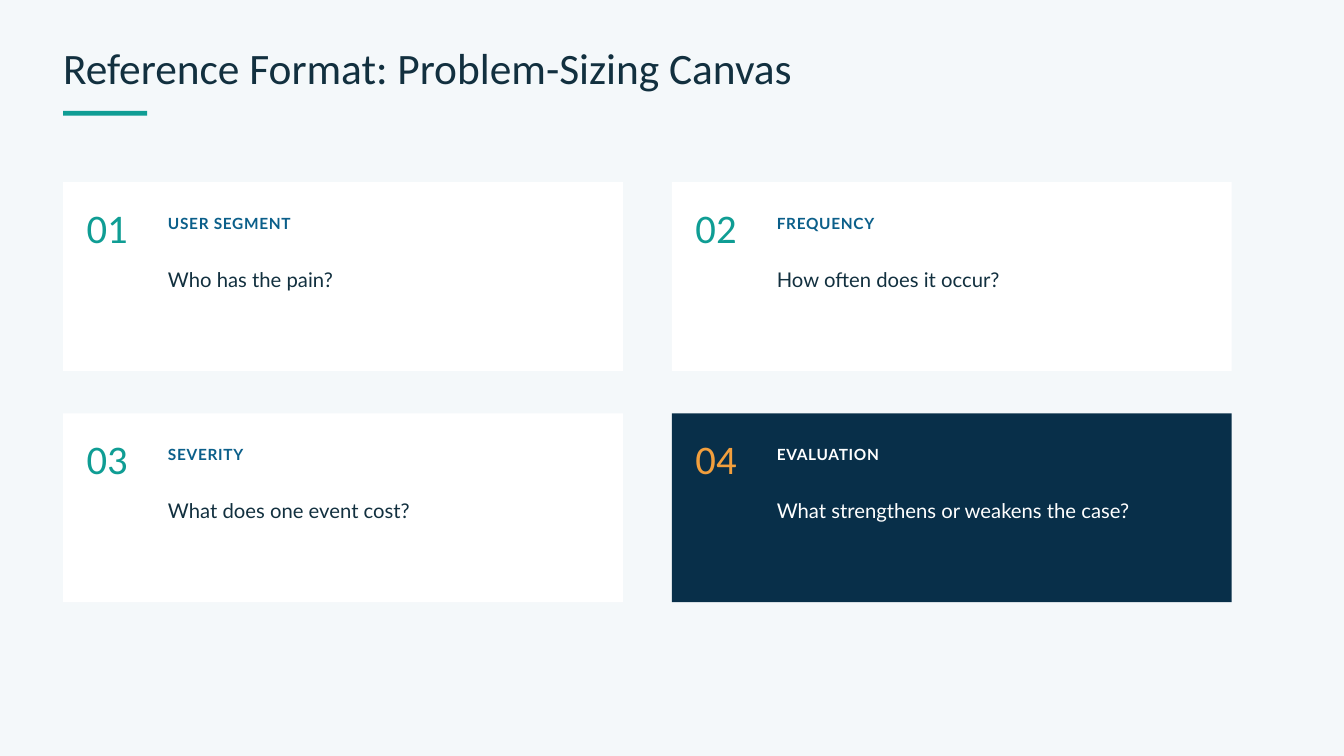
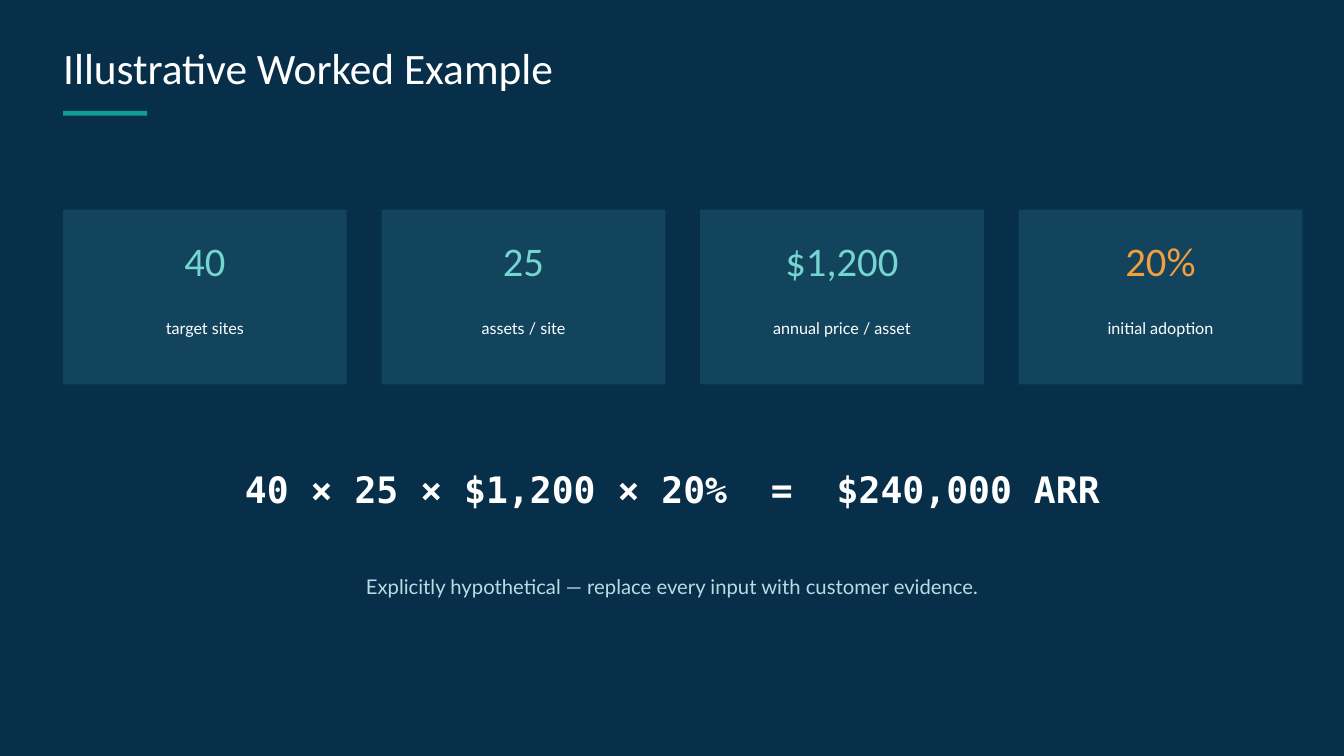
from pptx import Presentation
from pptx.dml.color import RGBColor
from pptx.enum.shapes import MSO_SHAPE
from pptx.enum.text import MSO_ANCHOR, MSO_AUTO_SIZE, PP_ALIGN
from pptx.util import Inches, Pt

PALE = RGBColor(0xF4, 0xF8, 0xFA)
NAVY = RGBColor(0x08, 0x2F, 0x49)
INK = RGBColor(0x12, 0x30, 0x3F)
WHITE = RGBColor(0xFF, 0xFF, 0xFF)
TEAL = RGBColor(0x0F, 0x9D, 0x94)
BLUE = RGBColor(0x0B, 0x5F, 0x8A)
ORANGE = RGBColor(0xF2, 0x9F, 0x3D)
SLATE = RGBColor(0x12, 0x44, 0x5D)
AQUA = RGBColor(0x75, 0xD5, 0xCF)
MIST = RGBColor(0xB8, 0xDC, 0xE4)

HEADING_FONT = "Calibri"
BODY_FONT = "Lato"
CODE_FONT = "DejaVu Sans Mono"
MARGIN = 0.94

TITLE = dict(font=HEADING_FONT, size=46.5, spacing=48.8)
FIGURE = dict(font=HEADING_FONT, size=43.5, spacing=60.9)
LABEL = dict(size=16.5, spacing=23.1, bold=True, tracking=0.8)
SENTENCE = dict(size=21.75, spacing=28.3)
CAPTION = dict(size=17.25, spacing=21.6, align=PP_ALIGN.CENTER)
EQUATION = dict(font=CODE_FONT, size=39, spacing=54.6, bold=True,
                align=PP_ALIGN.CENTER)
WIDE_GAP = 23.5

CANVAS = [
    ("USER SEGMENT", "Who has the pain?"),
    ("FREQUENCY", "How often does it occur?"),
    ("SEVERITY", "What does one event cost?"),
    ("EVALUATION", "What strengthens or weakens the case?"),
]
INPUTS = [
    ("40", "target sites"),
    ("25", "assets / site"),
    ("$1,200", "annual price / asset"),
    ("20%", "initial adoption"),
]


def place(shape, left, top, width, height):
    shape.left, shape.top = Inches(left), Inches(top)
    shape.width, shape.height = Inches(width), Inches(height)


def write(shape, text, *, size, spacing, color, font=BODY_FONT, bold=False,
          align=PP_ALIGN.LEFT, tracking=0):
    """Fill a shape with one paragraph; text is a string or (string, tracking) pairs."""
    frame = shape.text_frame
    frame.word_wrap = True
    frame.auto_size = MSO_AUTO_SIZE.SHAPE_TO_FIT_TEXT
    frame.vertical_anchor = MSO_ANCHOR.TOP
    frame.margin_left = frame.margin_right = 0
    frame.margin_top = frame.margin_bottom = 0
    paragraph = frame.paragraphs[0]
    paragraph.alignment = align
    paragraph.line_spacing = Pt(spacing)
    pieces = [(text, tracking)] if isinstance(text, str) else text
    for words, gap in pieces:
        run = paragraph.add_run()
        run.text = words
        run.font.name = font
        run.font.size = Pt(size)
        run.font.bold = bold
        run.font.color.rgb = color
        if gap:
            run.font._element.set("spc", str(round(gap * 100)))


def add_text(slide, text, left, top, width, height, **style):
    box = slide.shapes.add_textbox(
        Inches(left), Inches(top), Inches(width), Inches(height))
    write(box, text, **style)


def add_panel(slide, left, top, width, height, color):
    panel = slide.shapes.add_shape(
        MSO_SHAPE.RECTANGLE,
        Inches(left), Inches(top), Inches(width), Inches(height))
    panel.shadow.inherit = False
    panel.fill.solid()
    panel.fill.fore_color.rgb = color
    panel.line.fill.background()


def add_titled_slide(deck, title, background, title_color):
    slide = deck.slides.add_slide(deck.slide_layouts[5])
    slide.background.fill.solid()
    slide.background.fill.fore_color.rgb = background
    place(slide.shapes.title, MARGIN, 0.71, 18.12, 0.71)
    write(slide.shapes.title, title, color=title_color, **TITLE)
    add_panel(slide, MARGIN, 1.65, 1.25, 0.07, TEAL)
    return slide


def add_question_card(slide, index, label, question):
    row, column = divmod(index, 2)
    left, top = MARGIN + column * 9.06, 2.71 + row * 3.44
    if index == len(CANVAS) - 1:
        panel, number, heading, body = NAVY, ORANGE, WHITE, WHITE
    else:
        panel, number, heading, body = WHITE, TEAL, BLUE, INK
    add_panel(slide, left, top, 8.33, 2.81, panel)
    add_text(slide, f"{index + 1:02}", left + 0.35, top + 0.19, 0.94, 0.83,
             color=number, **FIGURE)
    add_text(slide, label, left + 1.56, top + 0.43, 5.94, 0.31,
             color=heading, **LABEL)
    add_text(slide, question, left + 1.56, top + 1.23, 5.94, 0.38,
             color=body, **SENTENCE)


def add_input_card(slide, index, value, caption):
    left, top = MARGIN + index * 4.74, 3.12
    value_color = ORANGE if index == len(INPUTS) - 1 else AQUA
    add_panel(slide, left, top, 4.22, 2.6, SLATE)
    add_text(slide, value, left + 0.26, top + 0.27, 3.7, 0.83,
             color=value_color, align=PP_ALIGN.CENTER, **FIGURE)
    add_text(slide, caption, left + 0.26, top + 1.61, 3.7, 0.29,
             color=WHITE, **CAPTION)


def build_canvas(deck):
    slide = add_titled_slide(
        deck, "Reference Format: Problem-Sizing Canvas", PALE, INK)
    for index, (label, question) in enumerate(CANVAS):
        add_question_card(slide, index, label, question)


def build_example(deck):
    slide = add_titled_slide(deck, "Illustrative Worked Example", NAVY, WHITE)
    for index, (value, caption) in enumerate(INPUTS):
        add_input_card(slide, index, value, caption)
    product = " × ".join(value for value, caption in INPUTS)
    equation = [(product, 0), (" ", WIDE_GAP), ("=", 0), (" ", WIDE_GAP),
                ("$240,000 ARR", 0)]
    add_text(slide, equation, 1.88, 6.84, 16.25, 0.72, color=WHITE, **EQUATION)
    add_text(slide,
             "Explicitly hypothetical — replace every input with customer evidence.",
             3.44, 8.52, 13.12, 0.38,
             color=MIST, align=PP_ALIGN.CENTER, **SENTENCE)


def main():
    deck = Presentation()
    deck.slide_width, deck.slide_height = Inches(20), Inches(11.25)
    build_canvas(deck)
    build_example(deck)
    deck.save("out.pptx")


if __name__ == "__main__":
    main()
